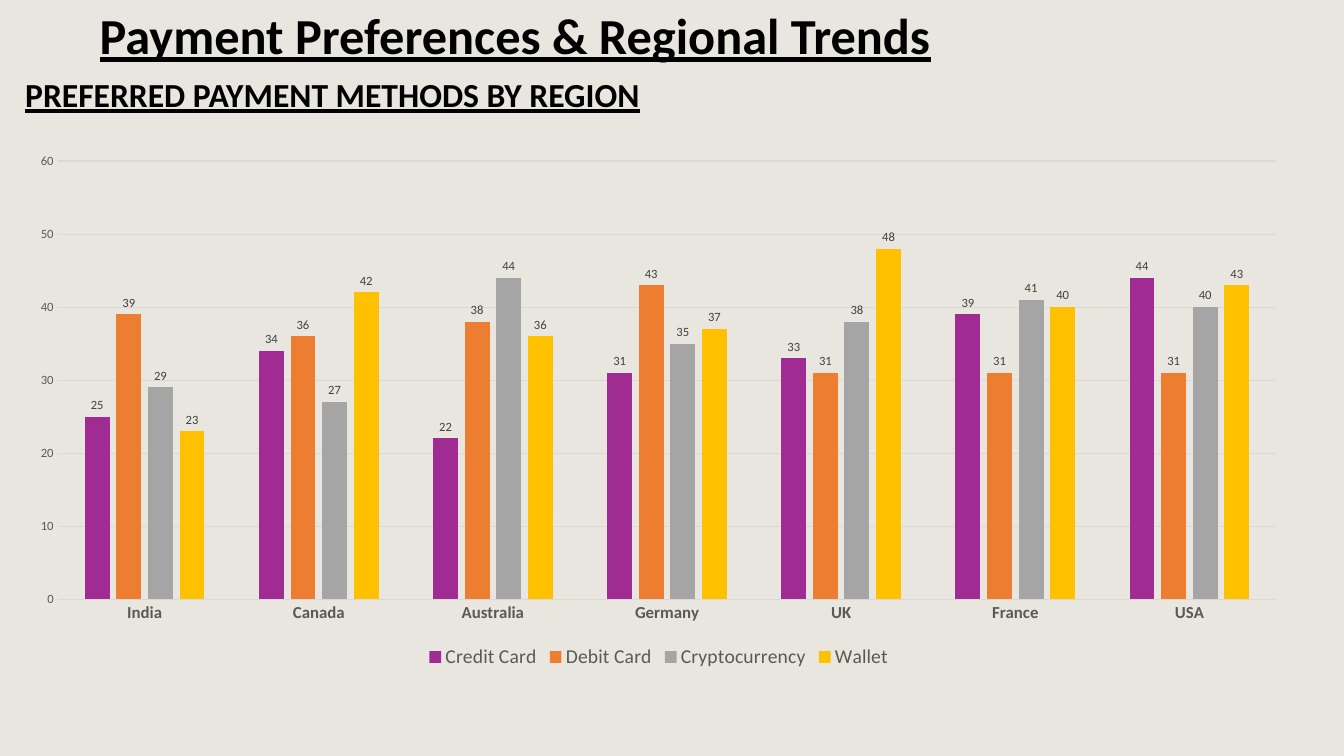
from pptx import Presentation
from pptx.chart.data import CategoryChartData
from pptx.dml.color import RGBColor
from pptx.enum.chart import XL_CHART_TYPE as CT, XL_LABEL_POSITION as LP
from pptx.enum.chart import XL_LEGEND_POSITION as LEG, XL_TICK_MARK as TICK
from pptx.enum.text import MSO_ANCHOR as ANC, MSO_AUTO_SIZE as FIT
from pptx.util import Pt


def rgb(code):
    return RGBColor.from_string(code)


def style(font, size, color, bold=False):
    font.name = "Calibri"
    font.size = Pt(size)
    font.bold = bold
    font.color.rgb = rgb(color)


prs = Presentation()
prs.slide_width, prs.slide_height = Pt(960), Pt(540)
s = prs.slides.add_slide(prs.slide_layouts[5])
s.background.fill.solid()
s.background.fill.fore_color.rgb = rgb("E9E6DF")

# Headings: chart title in the placeholder, slide heading above it
title = s.shapes.title
title.left, title.top, title.width, title.height = Pt(10.8), Pt(50.4), Pt(503.3), Pt(37.4)
heading = s.shapes.add_textbox(Pt(64.1), Pt(-0.7), Pt(676.8), Pt(51.1))
for sp, text, size, anchor, fit in (
    (title, "PREFERRED PAYMENT METHODS BY REGION", 24, ANC.MIDDLE, FIT.NONE),
    (heading, "Payment Preferences & Regional Trends", 36, ANC.TOP, FIT.SHAPE_TO_FIT_TEXT),
):
    tf = sp.text_frame
    tf.word_wrap = True
    tf.auto_size = fit
    tf.vertical_anchor = anchor
    p = tf.paragraphs[0]
    p.text = text
    style(p.font, size, "000000", bold=True)
    p.font.underline = True
    p.alignment = 1
title.text_frame.paragraphs[0].line_spacing = 0.9

# Chart data
methods = (
    ("Credit Card", "A02B93", (25, 34, 22, 31, 33, 39, 44)),
    ("Debit Card", "ED7D31", (39, 36, 38, 43, 31, 31, 31)),
    ("Cryptocurrency", "A5A5A5", (29, 27, 44, 35, 38, 41, 40)),
    ("Wallet", "FFC000", (23, 42, 36, 37, 48, 40, 43)),
)
data = CategoryChartData()
data.categories = ["India", "Canada", "Australia", "Germany", "UK", "France", "USA"]
for name, color, values in methods:
    data.add_series(name, values)

# Column chart
chart = s.shapes.add_chart(
    CT.COLUMN_CLUSTERED, Pt(10.8), Pt(102.2), Pt(919.4), Pt(378.7), data
).chart
style(chart.font, 10, "000000")
chart.has_title = False
chart.has_legend = True
chart.legend.position = LEG.BOTTOM
chart.legend.include_in_layout = False
style(chart.legend.font, 14, "595959")

plot = chart.plots[0]
plot.gap_width = 219
plot.overlap = -27
plot.vary_by_categories = False
for series, (name, color, values) in zip(plot.series, methods):
    series.format.fill.solid()
    series.format.fill.fore_color.rgb = rgb(color)
    series.invert_if_negative = False
    labels = series.data_labels
    labels.show_value = True
    labels.position = LP.OUTSIDE_END
    style(labels.font, 9, "404040")

# Axes and gridlines
cat, val = chart.category_axis, chart.value_axis
for axis, size, bold in ((cat, 12, True), (val, 9, False)):
    axis.major_tick_mark = axis.minor_tick_mark = TICK.NONE
    style(axis.tick_labels.font, size, "595959", bold)
val.minimum_scale, val.maximum_scale, val.major_unit = 0, 60, 10
val.has_major_gridlines = True
val.format.line.fill.background()
for line in (cat.format.line, val.major_gridlines.format.line):
    line.color.rgb = rgb("D9D9D9")
    line.width = Pt(0.75)

prs.save("out.pptx")
